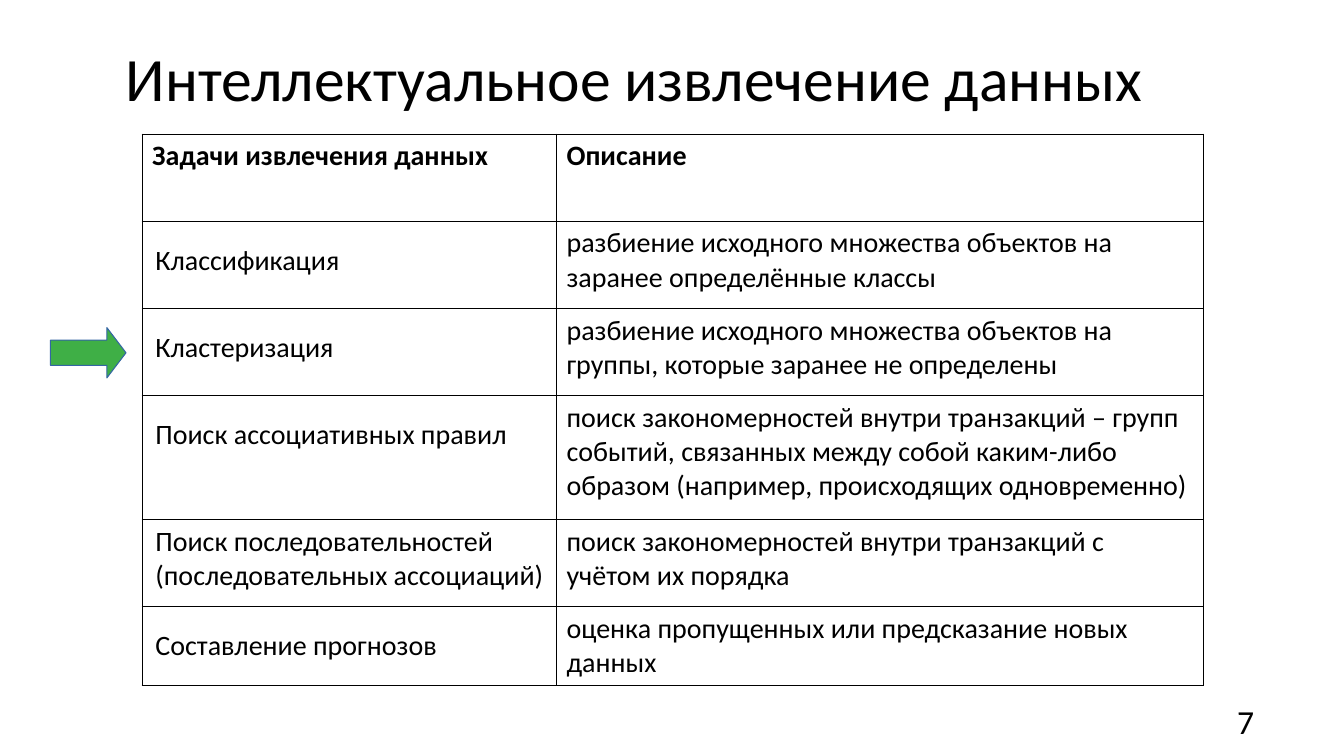
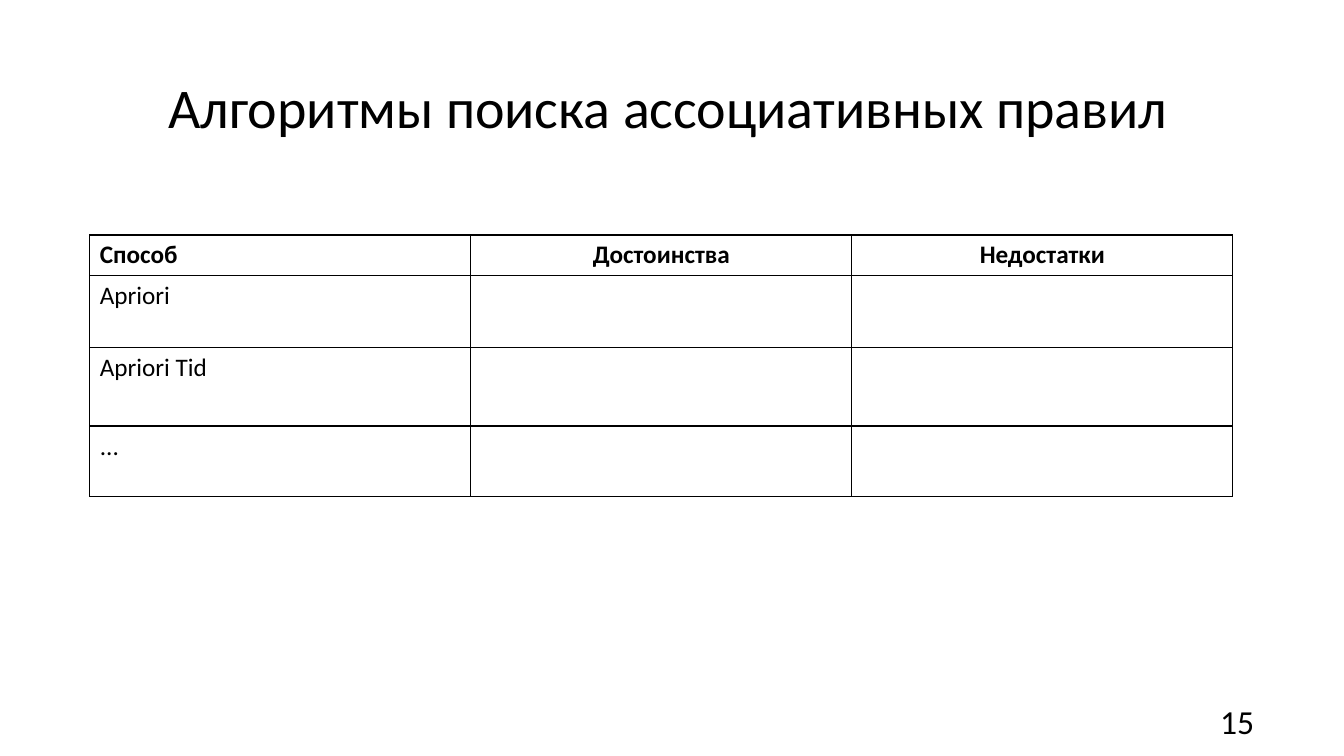
from pptx import Presentation
from pptx.util import Pt
from pptx.dml.color import RGBColor
from pptx.enum.shapes import MSO_SHAPE
from pptx.enum.text import MSO_ANCHOR, MSO_AUTO_SIZE, PP_ALIGN
from pptx.oxml import parse_xml
from pptx.oxml.ns import nsdecls

INK = "000000"
FONT = "Calibri"
LEFT, MID, RIGHT = PP_ALIGN.LEFT, PP_ALIGN.CENTER, PP_ALIGN.RIGHT
hue = RGBColor.from_string


def write(frame, text, size, align=LEFT, bold=False, lead=1.0):
    for i, line in enumerate(text.split("\n")):
        para = frame.add_paragraph() if i else frame.paragraphs[0]
        para.alignment = align
        para.line_spacing = lead
        run = para.add_run()
        run.text = line
        run.font.name = FONT
        run.font.size = Pt(size)
        run.font.bold = bold
        run.font.color.rgb = hue(INK)


deck = Presentation()
deck.slide_width, deck.slide_height = Pt(960), Pt(540)

tasks = [
    ["Задачи извлечения данных", "Описание"],
    ["Классификация", "разбиение исходного множества объектов на заранее определённые классы"],
    ["Кластеризация", "разбиение исходного множества объектов на группы, которые заранее не определены"],
    ["Поиск ассоциативных правил",
     "поиск закономерностей внутри транзакций – групп событий, связанных между собой "
     "каким-либо образом (например, происходящих одновременно)"],
    ["Поиск последовательностей\n(последовательных ассоциаций)",
     "поиск закономерностей внутри транзакций с учётом их порядка"],
    ["Составление прогнозов", "оценка пропущенных или предсказание новых данных"],
]
methods = [
    ["Способ", "Достоинства", "Недостатки"],
    ["Apriori", "", ""],
    ["Apriori Tid", "", ""],
    ["...", "", ""],
]
pages = [
    dict(title="Интеллектуальное извлечение данных", box=(82.8, 5.8, 828, 104.4),
         size=44, align=LEFT, num="7", data=tasks, at=(101.5, 95.8), text=20,
         cols=[296, 462.2], rows=[62.2, 62.2, 62.2, 88.6, 62.2, 55.4], heads=LEFT, inset=True),
    dict(title="Алгоритмы поиска ассоциативных правил", box=(46.8, 26.6, 860.4, 104.4),
         size=40, align=MID, num="15", data=methods, at=(64.1, 167.8), text=18,
         cols=[272.2] * 3, rows=[26.6, 51.1, 56.2, 50.4], heads=MID, inset=False),
]

for page in pages:
    slide = deck.slides.add_slide(deck.slide_layouts[5])
    title = slide.shapes.title
    title.left, title.top, title.width, title.height = map(Pt, page["box"])
    frame = title.text_frame
    frame.word_wrap = True
    frame.auto_size = MSO_AUTO_SIZE.NONE
    frame.vertical_anchor = MSO_ANCHOR.MIDDLE
    write(frame, page["title"], page["size"], page["align"], lead=0.9)

    cols, rows, data = page["cols"], page["rows"], page["data"]
    x, y = page["at"]
    table = slide.shapes.add_table(
        len(rows), len(cols), Pt(x), Pt(y), Pt(sum(cols)), Pt(sum(rows))).table
    table.first_row = table.horz_banding = False
    for col, width in zip(table.columns, cols):
        col.width = Pt(width)
    for r, (row, height) in enumerate(zip(table.rows, rows)):
        row.height = Pt(height)
        for c, cell in enumerate(row.cells):
            props = cell._tc.get_or_add_tcPr()
            for side in "LRTB":
                props.append(parse_xml(
                    f'<a:ln{side} {nsdecls("a")} w="{Pt(0.96)}"><a:solidFill>'
                    f'<a:srgbClr val="{INK}"/></a:solidFill></a:ln{side}>'))
            cell.fill.background()
            text = data[r][c]
            inner = page["inset"] and r > 0 and c == 0
            if inner:
                cell.margin_left, cell.margin_right = Pt(9.5), Pt(5)
            if text:
                write(cell.text_frame, text, page["text"],
                      page["heads"] if r == 0 and c else LEFT, r == 0,
                      1.5 if inner and "\n" not in text else 1.0)

    foot = slide.shapes.add_textbox(Pt(686.9), Pt(500.4), Pt(216), Pt(28.8)).text_frame
    foot.word_wrap = True
    foot.vertical_anchor = MSO_ANCHOR.MIDDLE
    write(foot, page["num"], 24, RIGHT)

arrow = deck.slides[0].shapes.add_shape(
    MSO_SHAPE.RIGHT_ARROW, Pt(36), Pt(234), Pt(54), Pt(36))
arrow.adjustments[1] = 0.38
arrow.shadow.inherit = False
arrow.fill.solid()
arrow.fill.fore_color.rgb = hue("3FAF46")
arrow.line.color.rgb = hue("3465A4")
arrow.line.width = Pt(0)

deck.save("out.pptx")
